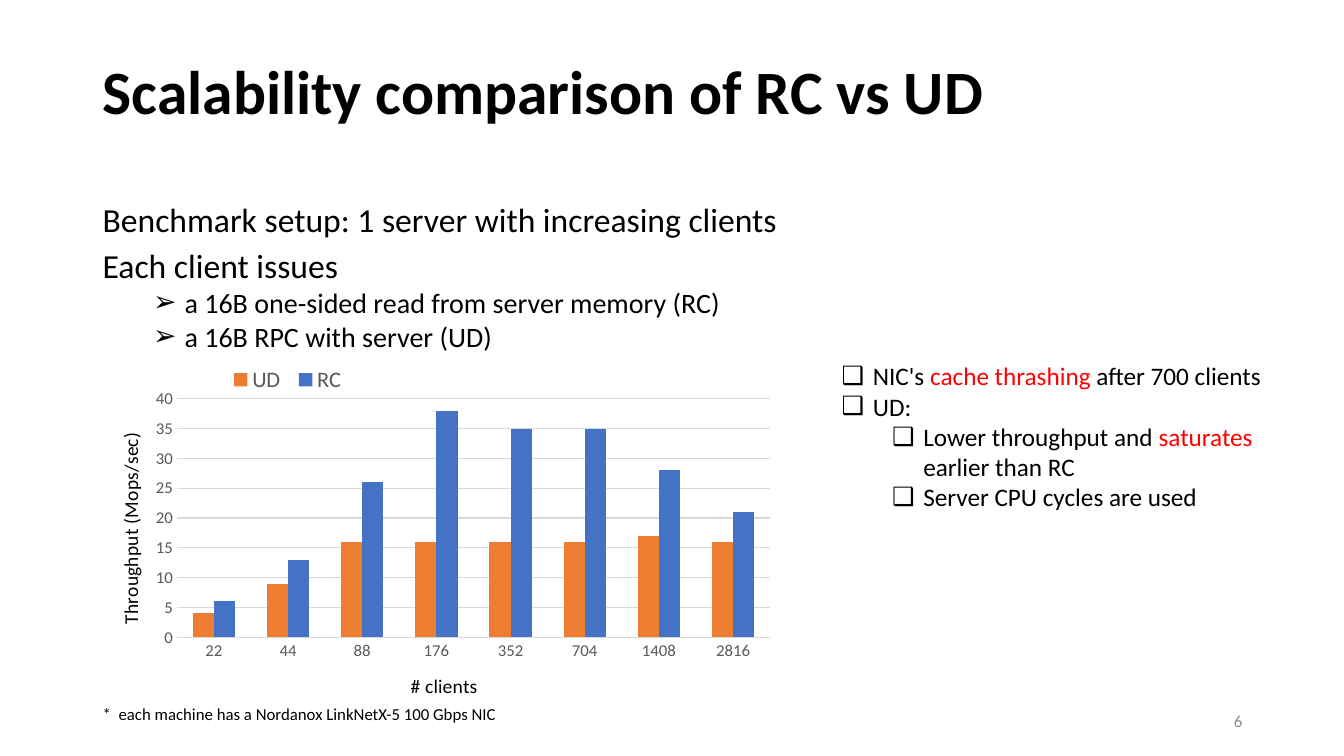
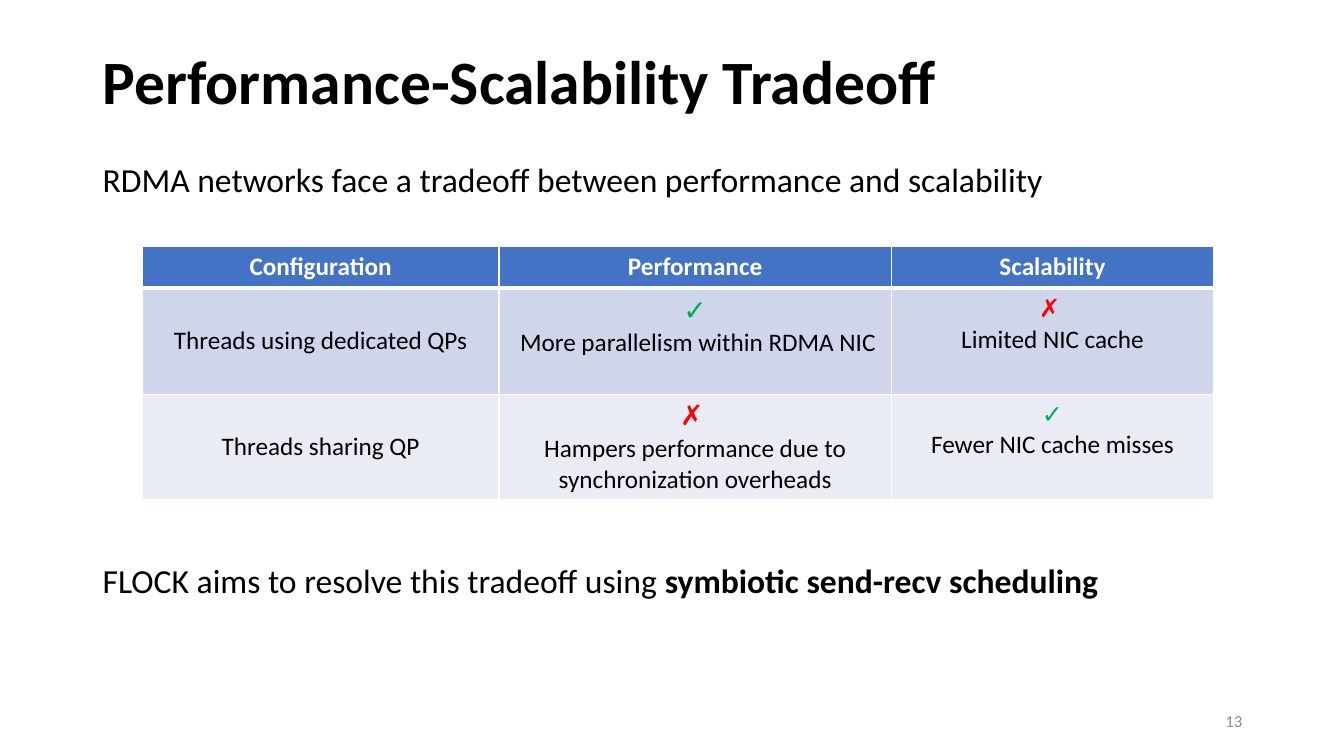
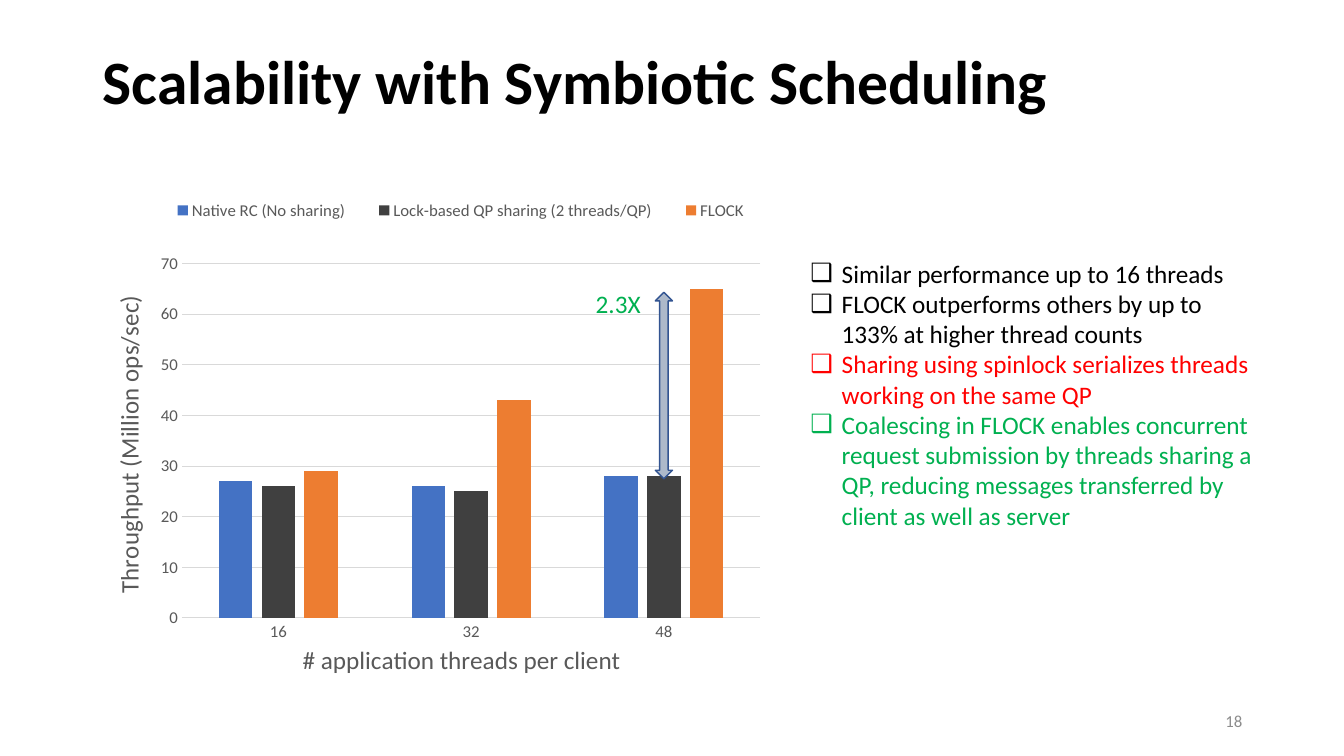
from dataclasses import dataclass

from lxml import etree
from pptx import Presentation
from pptx.chart import data as chart_data
from pptx.dml.color import RGBColor
from pptx.enum import chart as chart_enum, shapes, text
from pptx.oxml import ns
from pptx.util import Inches, Pt

FONT = "Calibri"
COLORS = {
    "black": "000000", "white": "FFFFFF", "red": "FF0000", "green": "00B050",
    "blue": "4472C4", "orange": "ED7D31", "charcoal": "404040",
    "label": "595959", "grid": "D9D9D9", "number": "8C8C8C",
    "row_dark": "CFD5EA", "row_light": "E9EBF5",
    "arrow": "ADB9CA", "arrow_edge": "325491",
}
CENTER, RIGHT = text.PP_ALIGN.CENTER, text.PP_ALIGN.RIGHT
MIDDLE, TOP = text.MSO_ANCHOR.MIDDLE, text.MSO_ANCHOR.TOP


@dataclass
class Box:
    left: float
    top: float
    width: float
    height: float

    def inches(self):
        return [Inches(n) for n in (self.left, self.top, self.width, self.height)]

    def region(self, left, top, width, height):
        return Box(self.left + left, self.top + top, width, height)


@dataclass
class Line:
    """A paragraph; runs are strings or (string, color, bold) tuples."""
    runs: list
    size: int = 18
    color: str = "black"
    bold: bool = False
    align: object = None
    bullet: str = ""
    indent: float = 0
    hanging: float = 0
    spacing: float = 1
    before: int = 0


def rgb(name):
    return RGBColor.from_string(COLORS[name])


def set_font(font, size, color, bold=False):
    font.name, font.size, font.bold = FONT, Pt(size), bold
    font.color.rgb = rgb(color)


# Text
def add_bullet(paragraph, line):
    properties = paragraph._p.get_or_add_pPr()
    properties.set("marL", str(Inches(line.indent)))
    properties.set("indent", str(-Inches(line.hanging)))
    etree.SubElement(properties, ns.qn("a:buFont")).set("typeface", "Arial")
    etree.SubElement(properties, ns.qn("a:buChar")).set("char", line.bullet)


def write(frame, lines):
    for index, line in enumerate(lines):
        paragraph = frame.add_paragraph() if index else frame.paragraphs[0]
        if line.bullet:
            add_bullet(paragraph, line)
        paragraph.alignment = line.align
        paragraph.line_spacing = line.spacing
        paragraph.space_before = Pt(line.before)
        set_font(paragraph.font, line.size, line.color, line.bold)
        for item in line.runs:
            words, color, bold = (item, None, None) if isinstance(item, str) else item
            run = paragraph.add_run()
            run.text = words
            if color:
                run.font.color.rgb = rgb(color)
            if bold is not None:
                run.font.bold = bold


def add_text(slide, box, lines, anchor=TOP):
    frame = slide.shapes.add_textbox(*box.inches()).text_frame
    frame.word_wrap = True
    frame.vertical_anchor = anchor
    write(frame, lines)


def body(*runs, spacing=0.9):
    return Line(list(runs), 24, spacing=spacing, before=10)


def check(*runs, level=0, color="black"):
    return Line(list(runs), color=color, bullet="❑",
                indent=0.31 + 0.5 * level, hanging=0.31)


def arrow_item(words):
    return Line([words], 20, bullet="➢", indent=0.75, hanging=0.25,
                spacing=0.8, before=5)


def add_slide(presentation, title, number, title_height=0.87):
    slide = presentation.slides.add_slide(presentation.slide_layouts[6])
    add_text(slide, Box(0.92, 0.4, 11.5, title_height),
             [Line([title], 44, bold=True, spacing=0.9)], MIDDLE)
    add_text(slide, Box(9.42, 6.95, 3, 0.4),
             [Line([str(number)], 12, "number", align=RIGHT)], MIDDLE)
    return slide


# Charts
def set_layout(parent, inner=False, **fractions):
    for old in parent.findall(ns.qn("c:layout")):
        parent.remove(old)
    layout = etree.Element(ns.qn("c:layout"))
    manual = etree.SubElement(layout, ns.qn("c:manualLayout"))
    settings = {"layoutTarget": "inner"} if inner else {}
    settings.update(xMode="edge", yMode="edge", **fractions)
    for name, value in settings.items():
        etree.SubElement(manual, ns.qn("c:" + name)).set("val", str(value))
    overlay = parent.find(ns.qn("c:overlay"))
    if overlay is None:
        parent.insert(0, layout)
    else:
        overlay.addprevious(layout)


def style_axis(axis, title, size, color, x, y, rotation):
    axis.major_tick_mark = axis.minor_tick_mark = chart_enum.XL_TICK_MARK.NONE
    set_font(axis.tick_labels.font, 12, "label")
    frame = axis.axis_title.text_frame
    write(frame, [Line([title], size, color)])
    set_font(frame.paragraphs[0].runs[0].font, size, color)
    body_properties = frame._txBody.find(ns.qn("a:bodyPr"))
    body_properties.set("rot", str(rotation))
    body_properties.set("vert", "horz")
    set_layout(axis.axis_title.element, x=x, y=y)


def add_columns(slide, box, categories, series, plot, legend, titles,
                title_size, title_color, legend_size, gap, overlap, maximum, step):
    data = chart_data.CategoryChartData()
    data.categories = categories
    for name, values, _ in series:
        data.add_series(name, values)
    chart = slide.shapes.add_chart(
        chart_enum.XL_CHART_TYPE.COLUMN_CLUSTERED, *box.inches(), data).chart
    chart.has_title = False
    set_font(chart.font, 10, "black")

    columns = chart.plots[0]
    columns.vary_by_categories = False
    columns.gap_width, columns.overlap = gap, overlap
    for column, (_, _, color) in zip(columns.series, series):
        column.format.fill.solid()
        column.format.fill.fore_color.rgb = rgb(color)
    set_layout(chart.element.xpath("c:chart/c:plotArea")[0], inner=True, **plot)

    chart.has_legend = True
    chart.legend.position = chart_enum.XL_LEGEND_POSITION.TOP
    chart.legend.include_in_layout = False
    set_font(chart.legend.font, legend_size, "label")
    set_layout(chart.element.xpath("c:chart/c:legend")[0], **legend)

    axes = (chart.category_axis, chart.value_axis)
    for axis, (title, x, y), rotation in zip(axes, titles, (0, -5400000)):
        style_axis(axis, title, title_size, title_color, x, y, rotation)
    value_axis = chart.value_axis
    value_axis.minimum_scale, value_axis.maximum_scale = 0, maximum
    value_axis.major_unit = step
    value_axis.format.line.fill.background()
    for line in (chart.category_axis.format.line,
                 value_axis.major_gridlines.format.line):
        line.color.rgb = rgb("grid")
        line.width = Pt(0.75)


# Table
def set_borders(cell, bottom):
    properties = cell._tc.get_or_add_tcPr()
    for index, side in enumerate(("L", "R", "T", "B")):
        width = bottom if side == "B" else 1
        border = etree.Element(ns.qn("a:ln" + side), w=str(Pt(width)))
        fill = etree.SubElement(border, ns.qn("a:solidFill"))
        etree.SubElement(fill, ns.qn("a:srgbClr")).set("val", COLORS["white"])
        properties.insert(index, border)


def add_grid(slide, box, widths, heights, rows, fills):
    table = slide.shapes.add_table(len(rows), len(widths), *box.inches()).table
    for column, width in zip(table.columns, widths):
        column.width = Inches(width)
    for index, (height, cells, fill) in enumerate(zip(heights, rows, fills)):
        table.rows[index].height = Inches(height)
        for position, lines in enumerate(cells):
            cell = table.cell(index, position)
            cell.fill.solid()
            cell.fill.fore_color.rgb = rgb(fill)
            cell.vertical_anchor = MIDDLE if index and not position else TOP
            write(cell.text_frame, lines)
            set_borders(cell, 1 if index else 3)


def label(words, color="black", bold=False, size=18):
    return Line([words], size, color, bold, CENTER)


def good(size=18):
    return label("✓", "green", size=size)


def bad(words="✗ ", size=18):
    return label(words, "red", True, size)


# Slides
def comparison_slide(presentation):
    slide = add_slide(presentation, "Scalability comparison of RC vs UD", 6, 1.08)
    area = Box(0.92, 2, 12.1, 5.5)
    add_text(slide, area.region(0, 0, 12.1, 1.5), [
        body("Benchmark setup: 1 server with increasing clients", spacing=0.8),
        body("Each client issues", spacing=0.8),
        arrow_item(" a 16B one-sided read from server memory (RC)"),
        arrow_item(" a 16B RPC with server (UD)"),
    ])
    add_columns(
        slide, area.region(0, 1.53, 6.78, 3.46),
        ["22", "44", "88", "176", "352", "704", "1408", "2816"],
        [("UD", (4, 9, 16, 16, 16, 16, 17, 16), "orange"),
         ("RC", (6, 13, 26, 38, 35, 35, 28, 21), "blue")],
        plot=dict(x=0.123, y=0.125, w=0.868, h=0.693),
        legend=dict(x=0.19, y=0.02, w=0.19, h=0.1),
        titles=[("# clients", 0.46, 0.91), ("Throughput (Mops/sec)", 0.03, 0.22)],
        title_size=14, title_color="black", legend_size=16,
        gap=150, overlap=0, maximum=40, step=5)
    add_text(slide, area.region(7.33, 1.53, 4.94, 1.62), [
        check("NIC's ", ("cache thrashing", "red", None), " after 700 clients"),
        check("UD:"),
        check("Lower throughput and ", ("saturates", "red", None),
              " earlier than RC", level=1),
        check("Server CPU cycles are used", level=1),
    ])
    add_text(slide, area.region(0, 4.97, 8, 0.3), [
        Line(["*  each machine has a Nordanox LinkNetX-5 100 Gbps NIC"], 12, spacing=0.8)])


def tradeoff_slide(presentation):
    slide = add_slide(presentation, "Performance-Scalability Tradeoff", 13)
    area = Box(0.92, 1.57, 11.5, 4.96)
    add_text(slide, area.region(0, 0, 11.5, 0.5), [
        body("RDMA networks face a tradeoff between performance and scalability")])
    headings = ("Configuration", "Performance", "Scalability")
    add_grid(
        slide, area.region(0.49, 0.87, 10.63, 2.52),
        (3.54, 3.89, 3.2), (0.42, 1.05, 1.05),
        [
            [[label(heading, "white", True)] for heading in headings],
            [[label("Threads using dedicated QPs")],
             [good(20), label(" More parallelism within RDMA NIC")],
             [bad(), label("Limited NIC cache")]],
            [[label("Threads sharing QP")],
             [bad(size=20),
              label("Hampers performance due to synchronization overheads")],
             [good(), label("Fewer NIC cache misses")]],
        ],
        ("blue", "row_dark", "row_light"))
    add_text(slide, area.region(0, 3.98, 11.5, 0.5), [
        body("FLOCK aims to resolve this tradeoff using ",
             ("symbiotic send-recv scheduling", None, True))])


def symbiotic_slide(presentation):
    slide = add_slide(presentation, "Scalability with Symbiotic Scheduling", 18)
    area = Box(0.92, 1.92, 11.6, 4.86)
    add_columns(
        slide, area.region(0, 0, 7.02, 4.86), ["16", "32", "48"],
        [("Native RC (No sharing)", (27, 26, 28), "blue"),
         ("Lock-based QP sharing (2 threads/QP)", (26, 25, 28), "charcoal"),
         ("FLOCK", (29, 43, 65), "orange")],
        plot=dict(x=0.126, y=0.145, w=0.817, h=0.733),
        legend=dict(x=0.08, y=0.0, w=0.88, h=0.07),
        titles=[("# application threads per client", 0.29, 0.92),
                ("Throughput (Million ops/sec)", 0.02, 0.21)],
        title_size=18, title_color="label", legend_size=12,
        gap=219, overlap=-27, maximum=70, step=10)
    add_text(slide, area.region(7.02, 0.59, 4.58, 3.43), [
        check("Similar performance up to 16 threads"),
        check("FLOCK outperforms others by up to 133% at higher thread counts"),
        check("Sharing using spinlock serializes threads working on the same QP",
              color="red"),
        check("Coalescing in FLOCK enables concurrent request submission by threads "
              "sharing a QP, reducing messages transferred by client as well as server",
              color="green"),
    ])
    # Speedup marker
    arrow = slide.shapes.add_shape(shapes.MSO_SHAPE.UP_DOWN_ARROW,
                                   *area.region(5.58, 0.98, 0.17, 1.85).inches())
    arrow.shadow.inherit = False
    arrow.fill.solid()
    arrow.fill.fore_color.rgb = rgb("arrow")
    arrow.line.color.rgb = rgb("arrow_edge")
    arrow.line.width = Pt(1)
    add_text(slide, area.region(4.89, 0.89, 0.69, 0.4), [Line(["2.3X"], color="green")])


def main():
    presentation = Presentation()
    presentation.slide_width, presentation.slide_height = Inches(13.33), Inches(7.5)
    comparison_slide(presentation)
    tradeoff_slide(presentation)
    symbiotic_slide(presentation)
    presentation.save("out.pptx")


if __name__ == "__main__":
    main()
